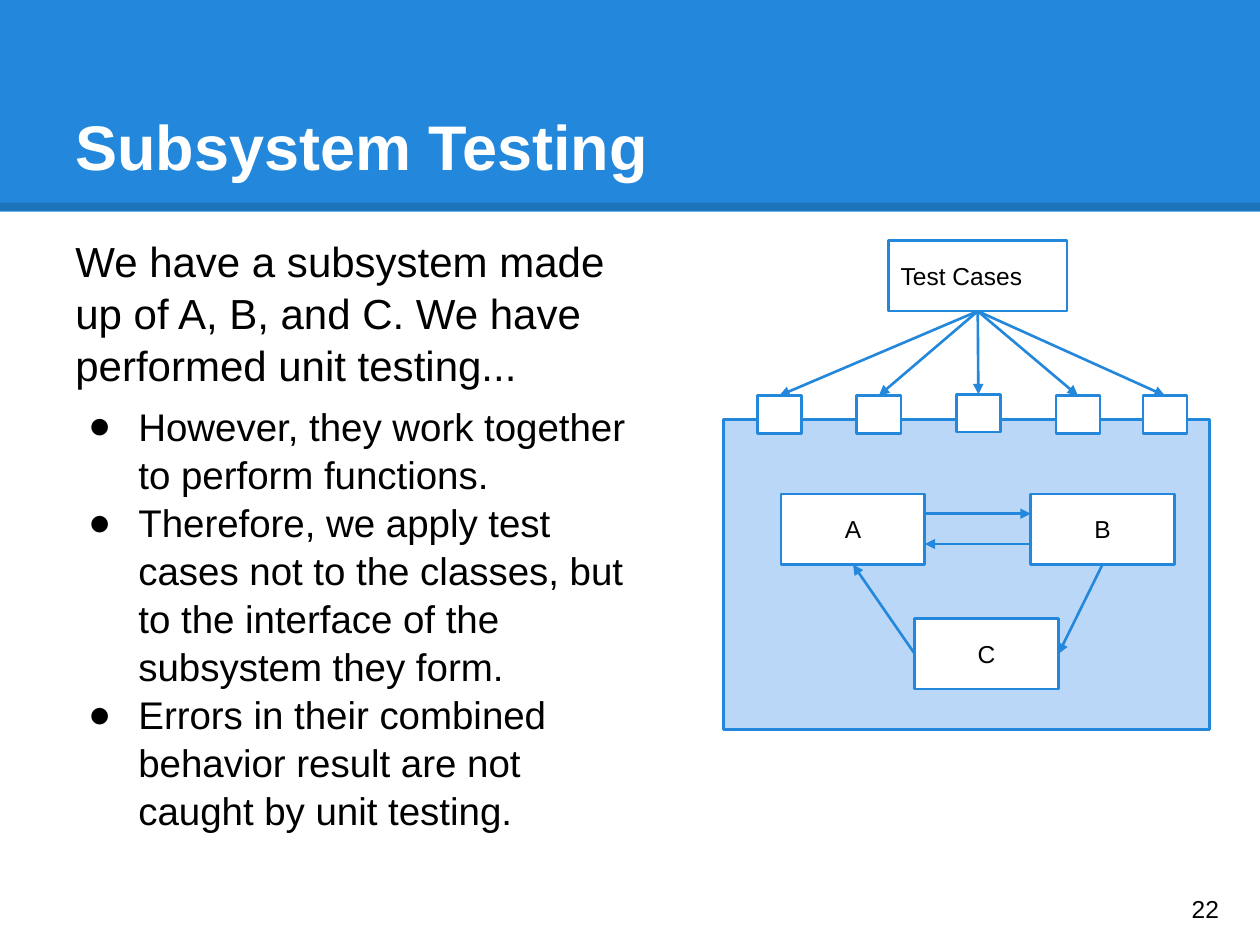
from dataclasses import dataclass
from typing import NamedTuple

from lxml import etree
from pptx import Presentation
from pptx.dml.color import RGBColor
from pptx.enum.shapes import MSO_CONNECTOR, MSO_SHAPE
from pptx.enum.text import MSO_ANCHOR, PP_ALIGN
from pptx.oxml.ns import qn
from pptx.util import Inches, Pt

RECTANGLE = MSO_SHAPE.RECTANGLE
STRAIGHT = MSO_CONNECTOR.STRAIGHT
TOP, MIDDLE, BOTTOM = MSO_ANCHOR.TOP, MSO_ANCHOR.MIDDLE, MSO_ANCHOR.BOTTOM
LEFT, CENTER = PP_ALIGN.LEFT, PP_ALIGN.CENTER


@dataclass(frozen=True)
class Theme:
    font: str = "Arial"
    blue: RGBColor = RGBColor(0x23, 0x88, 0xDB)
    pale_blue: RGBColor = RGBColor(0xBB, 0xD7, 0xF8)
    white: RGBColor = RGBColor(255, 255, 255)
    black: RGBColor = RGBColor(0, 0, 0)
    title_size: float = 36
    intro_size: float = 24
    bullet_size: float = 22
    label_size: float = 14
    line_width: float = 1.5
    rule_width: float = 4.5
    rule_opacity: int = 15000
    line_spacing: float = 1.04


class Point(NamedTuple):
    x: float
    y: float


class Box(NamedTuple):
    left: float
    top: float
    width: float
    height: float
    label: str = ""
    align: PP_ALIGN = CENTER

    def at(self, across: float, down: float) -> Point:
        return Point(self.left + across * self.width, self.top + down * self.height)


THEME = Theme()
BANNER = Box(0, 0, 10, 1.68)
TITLE = Box(0.5, 0.3, 9, 1.25, "Subsystem Testing")
BODY = Box(0.5, 1.75, 4.72, 5.43)
PAGE_NUMBER = Box(9.36, 6.93, 0.6, 0.57, "22")
INTRO = "We have a subsystem made up of A, B, and C. We have performed unit testing..."
BULLETS = (
    "However, they work together to perform functions.",
    "Therefore, we apply test cases not to the classes, but to the interface of the subsystem they form.",
    "Errors in their combined behavior result are not caught by unit testing.",
)
SUBSYSTEM = Box(5.74, 3.33, 3.86, 2.46)
CLASS_A = Box(6.2, 3.92, 1.14, 0.56, "A")
CLASS_B = Box(8.18, 3.92, 1.14, 0.56, "B")
CLASS_C = Box(7.26, 4.91, 1.14, 0.56, "C")
TEST_CASES = Box(7.05, 1.91, 1.42, 0.56, "Test Cases", LEFT)
PORTS = [
    Box(left, top, 0.35, 0.3)
    for left, top in ((6.01, 3.14), (6.8, 3.14), (7.59, 3.13), (8.38, 3.14), (9.07, 3.14))
]
CALLS = (
    (CLASS_A.at(1, 0.28), CLASS_B.at(0, 0.28)),
    (CLASS_B.at(0.5, 1), CLASS_C.at(1, 0.5)),
    (CLASS_C.at(0, 0.5), CLASS_A.at(0.5, 1)),
    (CLASS_B.at(0, 0.71), CLASS_A.at(1, 0.71)),
)


def lengths(box: Box) -> list:
    return [Inches(value) for value in box[:4]]


def style_text(paragraph, size: float, color: RGBColor = THEME.black, bold: bool = False) -> None:
    for run in paragraph.runs:
        run.font.name = THEME.font
        run.font.size = Pt(size)
        run.font.bold = bold
        run.font.color.rgb = color


def prepare_frame(text_frame, anchor: MSO_ANCHOR) -> None:
    text_frame.word_wrap = True
    text_frame.vertical_anchor = anchor
    text_frame.margin_left = text_frame.margin_right = Inches(0.1)
    text_frame.margin_top = text_frame.margin_bottom = Inches(0.1)


def add_box(slide, box: Box, fill: RGBColor, outlined: bool = True) -> None:
    shape = slide.shapes.add_shape(RECTANGLE, *lengths(box))
    shape.shadow.inherit = False
    shape.fill.solid()
    shape.fill.fore_color.rgb = fill
    if outlined:
        shape.line.color.rgb = THEME.blue
        shape.line.width = Pt(THEME.line_width)
    else:
        shape.line.fill.background()
    if box.label:
        prepare_frame(shape.text_frame, MIDDLE)
        shape.text_frame.text = box.label
        paragraph = shape.text_frame.paragraphs[0]
        paragraph.alignment = box.align
        style_text(paragraph, THEME.label_size)


def add_line(slide, start: Point, end: Point, color: RGBColor, width: float):
    connector = slide.shapes.add_connector(STRAIGHT, *(Inches(value) for value in start + end))
    connector.line.color.rgb = color
    connector.line.width = Pt(width)
    etree.SubElement(connector._element.spPr, qn("a:effectLst"))
    return connector


def add_arrow(slide, start: Point, end: Point) -> None:
    connector = add_line(slide, start, end, THEME.blue, THEME.line_width)
    etree.SubElement(connector.line._get_or_add_ln(), qn("a:tailEnd"), type="triangle")


def add_banner(slide) -> None:
    add_box(slide, BANNER, THEME.blue, outlined=False)
    rule = add_line(slide, Point(0, 1.64), Point(10, 1.64), THEME.black, THEME.rule_width)
    color = rule.line._get_or_add_ln().find(".//" + qn("a:srgbClr"))
    etree.SubElement(color, qn("a:alpha"), val=str(THEME.rule_opacity))


def add_text(slide, box: Box, anchor: MSO_ANCHOR, size: float, color: RGBColor, bold: bool = False) -> None:
    text_frame = slide.shapes.add_textbox(*lengths(box)).text_frame
    prepare_frame(text_frame, anchor)
    text_frame.text = box.label
    style_text(text_frame.paragraphs[0], size, color, bold)


def add_bullet(paragraph) -> None:
    properties = paragraph._p.get_or_add_pPr()
    properties.set("marL", str(Inches(0.5)))
    properties.set("indent", str(Inches(-0.4)))
    bullet_color = etree.SubElement(properties, qn("a:buClr"))
    etree.SubElement(bullet_color, qn("a:srgbClr"), val=str(THEME.black))
    etree.SubElement(properties, qn("a:buFont"), typeface=THEME.font)
    etree.SubElement(properties, qn("a:buChar"), char="●")


def add_body(slide) -> None:
    text_frame = slide.shapes.add_textbox(*lengths(BODY)).text_frame
    prepare_frame(text_frame, TOP)
    text_frame.text = "\n".join((INTRO, *BULLETS))
    intro, *bullets = text_frame.paragraphs
    style_text(intro, THEME.intro_size)
    for paragraph in bullets:
        add_bullet(paragraph)
        style_text(paragraph, THEME.bullet_size)
    for paragraph in text_frame.paragraphs:
        paragraph.line_spacing = THEME.line_spacing
    bullets[0].space_before = Pt(6)


def add_diagram(slide) -> None:
    add_box(slide, SUBSYSTEM, THEME.pale_blue)
    for box in (CLASS_A, CLASS_B, CLASS_C, TEST_CASES, *PORTS):
        add_box(slide, box, THEME.white)
    for start, end in CALLS:
        add_arrow(slide, start, end)
    for port in PORTS:
        add_arrow(slide, TEST_CASES.at(0.5, 1), port.at(0.5, 0))


def main() -> None:
    """Build the subsystem testing slide."""
    presentation = Presentation()
    presentation.slide_width, presentation.slide_height = Inches(10), Inches(7.5)
    slide = presentation.slides.add_slide(presentation.slide_layouts[6])
    add_banner(slide)
    add_text(slide, TITLE, BOTTOM, THEME.title_size, THEME.white, bold=True)
    add_body(slide)
    add_diagram(slide)
    add_text(slide, PAGE_NUMBER, MIDDLE, THEME.label_size, THEME.black)
    presentation.save("out.pptx")


if __name__ == "__main__":
    main()
